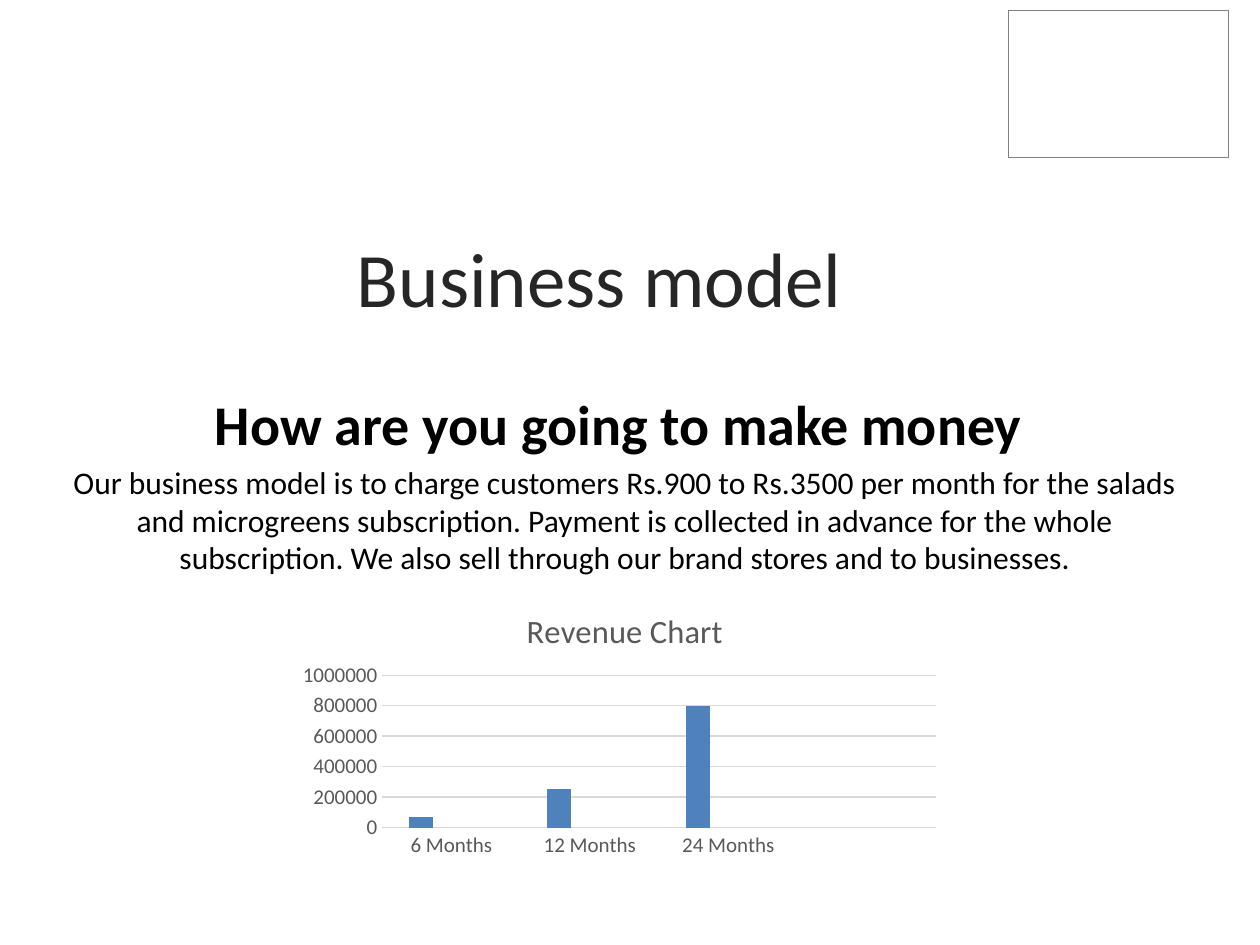
from dataclasses import dataclass

from lxml.etree import SubElement
from pptx import Presentation
from pptx.chart.data import CategoryChartData
from pptx.dml.color import RGBColor
from pptx.enum.chart import XL_CHART_TYPE, XL_TICK_MARK
from pptx.enum.shapes import MSO_SHAPE
from pptx.enum.text import MSO_ANCHOR, PP_ALIGN
from pptx.oxml.ns import qn
from pptx.util import Inches, Pt


@dataclass(frozen=True)
class Theme:
    font: str = "Calibri"
    title_color: str = "262626"
    text_color: str = "000000"
    chart_text: str = "595959"
    grid: str = "D9D9D9"
    frame_fill: str = "FFFFFF"
    frame_line: str = "808080"
    title_size: float = 44
    heading_size: float = 32
    body_size: float = 18
    chart_title_size: float = 18.6
    axis_size: float = 12


@dataclass(frozen=True)
class Box:
    left: float
    top: float
    width: float
    height: float

    def lengths(self) -> tuple:
        return tuple(Inches(n) for n in (self.left, self.top, self.width, self.height))


@dataclass(frozen=True)
class Series:
    name: str
    values: tuple
    color: str


THEME = Theme()
CATEGORIES = ("6 Months", "12 Months", "24 Months", "")
EMPTY = (None,) * len(CATEGORIES)
REVENUE = (
    Series("Series 1", (70000, 250000, 800000, None), "4F81BD"),
    Series("Series 2", EMPTY, "C0504D"),
    Series("Series 3", EMPTY, "9BBB59"),
)
PLOT_AREA = {"x": 0.142, "y": 0.306, "w": 0.817, "h": 0.545}


def format_font(font, *, size: float, color: str, bold: bool = False) -> None:
    font.name = THEME.font
    font.size = Pt(size)
    font.bold = bold
    font.color.rgb = RGBColor.from_string(color)


def write(paragraph, text: str, *, size: float, color: str,
          bold: bool = False, before: float = 0) -> None:
    paragraph.alignment = PP_ALIGN.CENTER
    if before:
        paragraph.space_before = Pt(before)
    run = paragraph.add_run()
    run.text = text
    format_font(run.font, size=size, color=color, bold=bold)


def add_text_frame(slide, box: Box, anchor=MSO_ANCHOR.TOP):
    frame = slide.shapes.add_textbox(*box.lengths()).text_frame
    frame.word_wrap = True
    frame.vertical_anchor = anchor
    return frame


def add_frame(slide, box: Box) -> None:
    shape = slide.shapes.add_shape(MSO_SHAPE.RECTANGLE, *box.lengths())
    shape.shadow.inherit = False
    shape.fill.solid()
    shape.fill.fore_color.rgb = RGBColor.from_string(THEME.frame_fill)
    shape.line.color.rgb = RGBColor.from_string(THEME.frame_line)
    shape.line.width = Pt(0.25)


def set_plot_area(chart) -> None:
    plot_area = chart.plots[0]._element.getparent()
    layout = plot_area.find(qn("c:layout"))
    if layout is None:
        layout = SubElement(plot_area, qn("c:layout"))
        plot_area.insert(0, layout)
    manual = SubElement(layout, qn("c:manualLayout"))
    settings = {"layoutTarget": "inner", "xMode": "edge", "yMode": "edge", **PLOT_AREA}
    for tag, value in settings.items():
        SubElement(manual, qn(f"c:{tag}")).set("val", str(value))


def style_line(line) -> None:
    line.color.rgb = RGBColor.from_string(THEME.grid)
    line.width = Pt(0.75)


def add_revenue_chart(slide, box: Box) -> None:
    data = CategoryChartData(number_format="General")
    data.categories = CATEGORIES
    for series in REVENUE:
        data.add_series(series.name, series.values)
    chart = slide.shapes.add_chart(
        XL_CHART_TYPE.COLUMN_CLUSTERED, *box.lengths(), data).chart
    format_font(chart.font, size=10, color=THEME.text_color)
    chart.has_legend = False
    chart.has_title = True
    write(chart.chart_title.text_frame.paragraphs[0], "Revenue Chart",
          size=THEME.chart_title_size, color=THEME.chart_text)
    chart.chart_title.include_in_layout = False

    # Columns
    plot = chart.plots[0]
    plot.vary_by_categories = False
    plot.gap_width = 219
    plot.overlap = -27
    for drawn, series in zip(plot.series, REVENUE):
        drawn.format.fill.solid()
        drawn.format.fill.fore_color.rgb = RGBColor.from_string(series.color)

    # Axes
    for axis in (chart.category_axis, chart.value_axis):
        axis.major_tick_mark = XL_TICK_MARK.NONE
        axis.minor_tick_mark = XL_TICK_MARK.NONE
        format_font(axis.tick_labels.font, size=THEME.axis_size, color=THEME.chart_text)
    style_line(chart.category_axis.format.line)
    value_axis = chart.value_axis
    value_axis.format.line.fill.background()
    value_axis.minimum_scale = 0
    value_axis.maximum_scale = 1000000
    value_axis.major_unit = 200000
    style_line(value_axis.major_gridlines.format.line)
    set_plot_area(chart)


def main() -> None:
    presentation = Presentation()
    presentation.slide_width = Inches(10)
    presentation.slide_height = Inches(7.5)
    slide = presentation.slides.add_slide(presentation.slide_layouts[6])

    # Empty frame in the corner
    add_frame(slide, Box(8, 0.08, 1.75, 1.17))

    # Title
    title = add_text_frame(slide, Box(0.51, 1.39, 8.5, 1.61), MSO_ANCHOR.MIDDLE)
    write(title.paragraphs[0], "Business model",
          size=THEME.title_size, color=THEME.title_color)

    # Question and answer
    body = add_text_frame(slide, Box(0.43, 3.04, 9.06, 3.78))
    write(body.paragraphs[0], "How are you going to make money ",
          size=THEME.heading_size, color=THEME.text_color, bold=True)
    write(body.add_paragraph(),
          "Our business model is to charge customers Rs.900 to Rs.3500 per month "
          "for the salads and microgreens subscription. Payment is collected in "
          "advance for the whole subscription. We also sell through our brand "
          "stores and to businesses.",
          size=THEME.body_size, color=THEME.text_color, before=3.6)

    # Revenue chart
    add_revenue_chart(slide, Box(2.27, 4.68, 5.38, 2.22))

    presentation.save("out.pptx")


if __name__ == "__main__":
    main()
